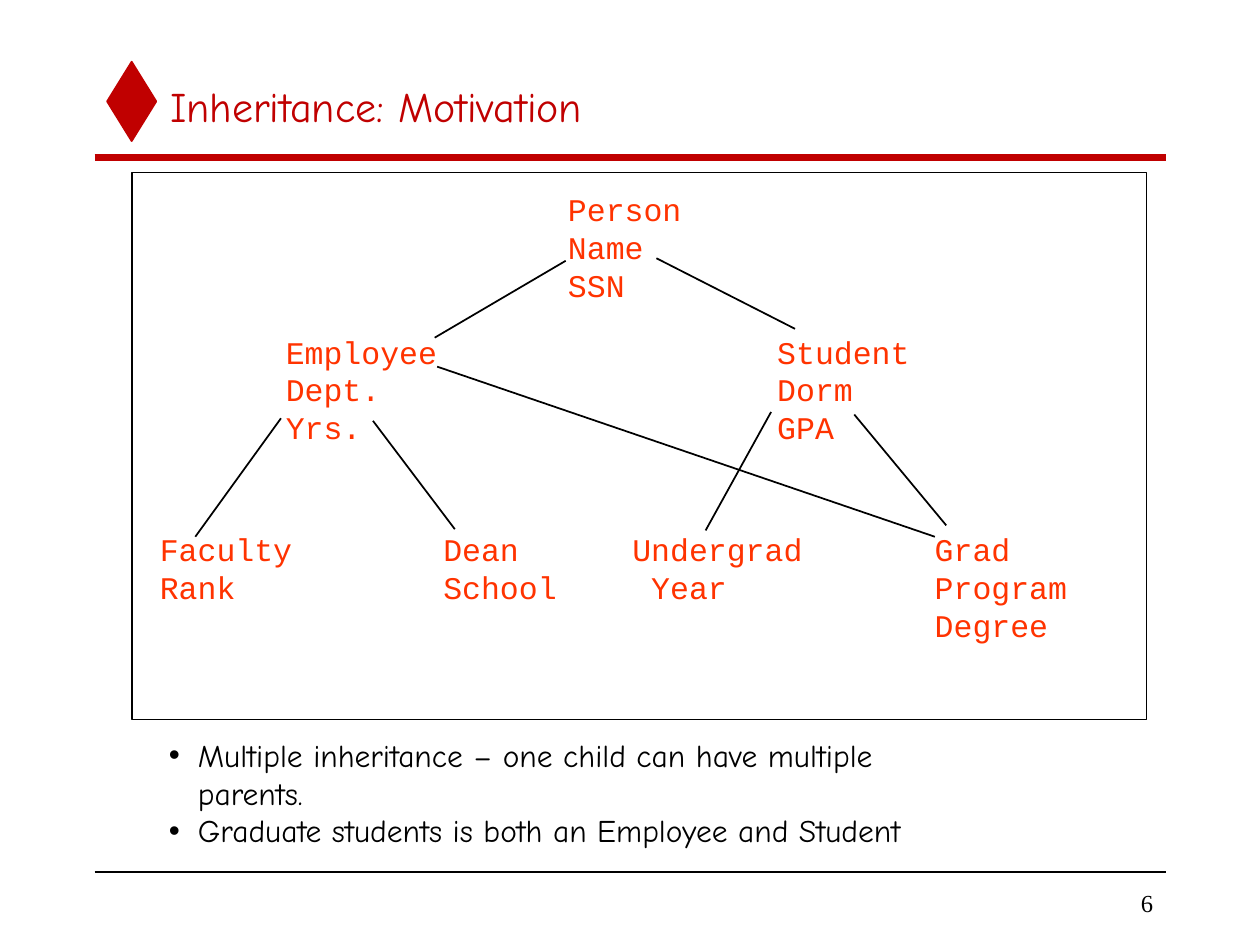
import pptx
import pptx.dml.color
import pptx.enum.shapes
import pptx.enum.text
import pptx.oxml
import pptx.oxml.ns
import pptx.util

Inches = pptx.util.Inches
Pt = pptx.util.Pt
RGBColor = pptx.dml.color.RGBColor
Shape = pptx.enum.shapes.MSO_SHAPE
Align = pptx.enum.text.PP_ALIGN
Anchor = pptx.enum.text.MSO_ANCHOR

RED = RGBColor(0xC0, 0x00, 0x00)
ORANGE = RGBColor(0xFF, 0x33, 0x00)
BLACK = RGBColor(0x00, 0x00, 0x00)
WHITE = RGBColor(0xFF, 0xFF, 0xFF)

HEADING_FONT = "Comic Neue"
CODE_FONT = "Courier New"
NUMBER_FONT = "Times New Roman"

LEFT, RIGHT = 0.75, 9.25
CHAR = 0.15  # width of one 18 pt code character, the column unit
LEVEL_TOPS = (1.46, 2.59, 4.16)
LEVEL_LEFTS = (4.41, 2.17, 1.17)

# level, column in characters, lines
CLASSES = (
    (0, 0, ("Person", "Name", "SSN")),
    (1, 0, ("Employee", "Dept.", "Yrs.")),
    (1, 26, ("Student", "Dorm", "GPA")),
    (2, 0, ("Faculty", "Rank")),
    (2, 15, ("Dean", "School")),
    (2, 25, ("Undergrad", "Year")),
    (2, 41, ("Grad", "Program", "Degree")),
)
INDENTED_LINE = "Year"

BRANCHES = (
    (4.49, 2.07, 3.45, 2.68),
    (5.21, 2.05, 6.31, 2.61),
    (2.23, 3.32, 1.55, 4.26),
    (2.96, 3.34, 3.61, 4.2),
    (6.12, 3.27, 5.6, 4.21),
    (6.78, 3.29, 7.51, 4.17),
    (3.47, 2.91, 7.42, 4.26),
)

POINTS = (
    "Multiple inheritance – one child can have multiple parents.",
    "Graduate students is both an Employee and Student",
)


def place(box, left, top, width, height):
    box.left, box.top = Inches(left), Inches(top)
    box.width, box.height = Inches(width), Inches(height)


def write(box, lines, font, size, color, align=Align.LEFT, spacing=None):
    """Fill a box with one paragraph a line, all in one format."""
    frame = box.text_frame
    frame.text = "\n".join(lines)
    frame.word_wrap = True
    frame.auto_size = pptx.enum.text.MSO_AUTO_SIZE.NONE
    for para in frame.paragraphs:
        para.alignment = align
        para.space_before = para.space_after = Pt(0)
        para.line_spacing = spacing
        for span in para.runs:
            span.font.name = font
            span.font.size = Pt(size)
            span.font.color.rgb = color


def add_line(page, ends, color=BLACK, weight=1):
    line = page.shapes.add_connector(
        pptx.enum.shapes.MSO_CONNECTOR.STRAIGHT, *map(Inches, ends))
    line.line.color.rgb = color
    line.line.width = Pt(weight)
    line._element.spPr.append(pptx.oxml.parse_xml(
        "<a:effectLst %s/>" % pptx.oxml.ns.nsdecls("a")))


def add_outline(page, kind, bounds, fill, line):
    shape = page.shapes.add_shape(kind, *map(Inches, bounds))
    shape.shadow.inherit = False
    shape.fill.solid()
    shape.fill.fore_color.rgb = fill
    shape.line.color.rgb = line
    shape.line.width = Pt(1)


def add_class(page, level, column, lines):
    width = max(map(len, lines)) * CHAR + 0.3
    box = page.shapes.add_textbox(
        Inches(LEVEL_LEFTS[level] + column * CHAR), Inches(LEVEL_TOPS[level]),
        Inches(width), Inches(0.1 + 0.3 * len(lines)))
    write(box, lines, CODE_FONT, 18, ORANGE, spacing=Pt(21.6))
    for para in box.text_frame.paragraphs:
        if para.text == INDENTED_LINE:
            para._p.get_or_add_pPr().set("marL", str(Inches(CHAR)))


def add_bullet(para):
    properties = para._p.get_or_add_pPr()
    properties.set("marL", str(Inches(0.23)))
    properties.set("indent", str(Inches(-0.23)))
    properties.append(pptx.oxml.parse_xml(
        '<a:buChar %s char="•"/>' % pptx.oxml.ns.nsdecls("a")))


def fill_title(title):
    place(title, 1.25, 0.5, 8, 0.67)
    write(title, ["Inheritance: Motivation"], HEADING_FONT, 24, RED)
    title.text_frame.vertical_anchor = Anchor.MIDDLE


def fill_points(body):
    place(body, 1.24, 5.79, 6.56, 0.7)
    write(body, POINTS, HEADING_FONT, 18, BLACK, spacing=Pt(21.6))
    body.text_frame.vertical_anchor = Anchor.TOP
    for para in body.text_frame.paragraphs:
        add_bullet(para)


def add_frame(page):
    add_outline(page, Shape.DIAMOND, (0.85, 0.49, 0.39, 0.63), RED, RED)
    add_line(page, (LEFT, 1.25, RIGHT, 1.25), RED, 4)
    add_line(page, (LEFT, 6.92, RIGHT, 6.92))
    number = page.shapes.add_textbox(
        Inches(7.83), Inches(7), Inches(1.42), Inches(0.33))
    write(number, ["6"], NUMBER_FONT, 14, BLACK, Align.RIGHT)
    number.text_frame.vertical_anchor = Anchor.MIDDLE


def add_hierarchy(page):
    add_outline(page, Shape.RECTANGLE, (1.05, 1.37, 8.05, 4.34), WHITE, BLACK)
    for level, column, lines in CLASSES:
        add_class(page, level, column, lines)
    for ends in BRANCHES:
        add_line(page, ends)


def main():
    deck = pptx.Presentation()
    deck.slide_width, deck.slide_height = Inches(10), Inches(7.5)
    page = deck.slides.add_slide(deck.slide_layouts[1])
    fill_title(page.shapes.title)
    fill_points(page.placeholders[1])
    add_frame(page)
    add_hierarchy(page)
    deck.save("out.pptx")


if __name__ == "__main__":
    main()
